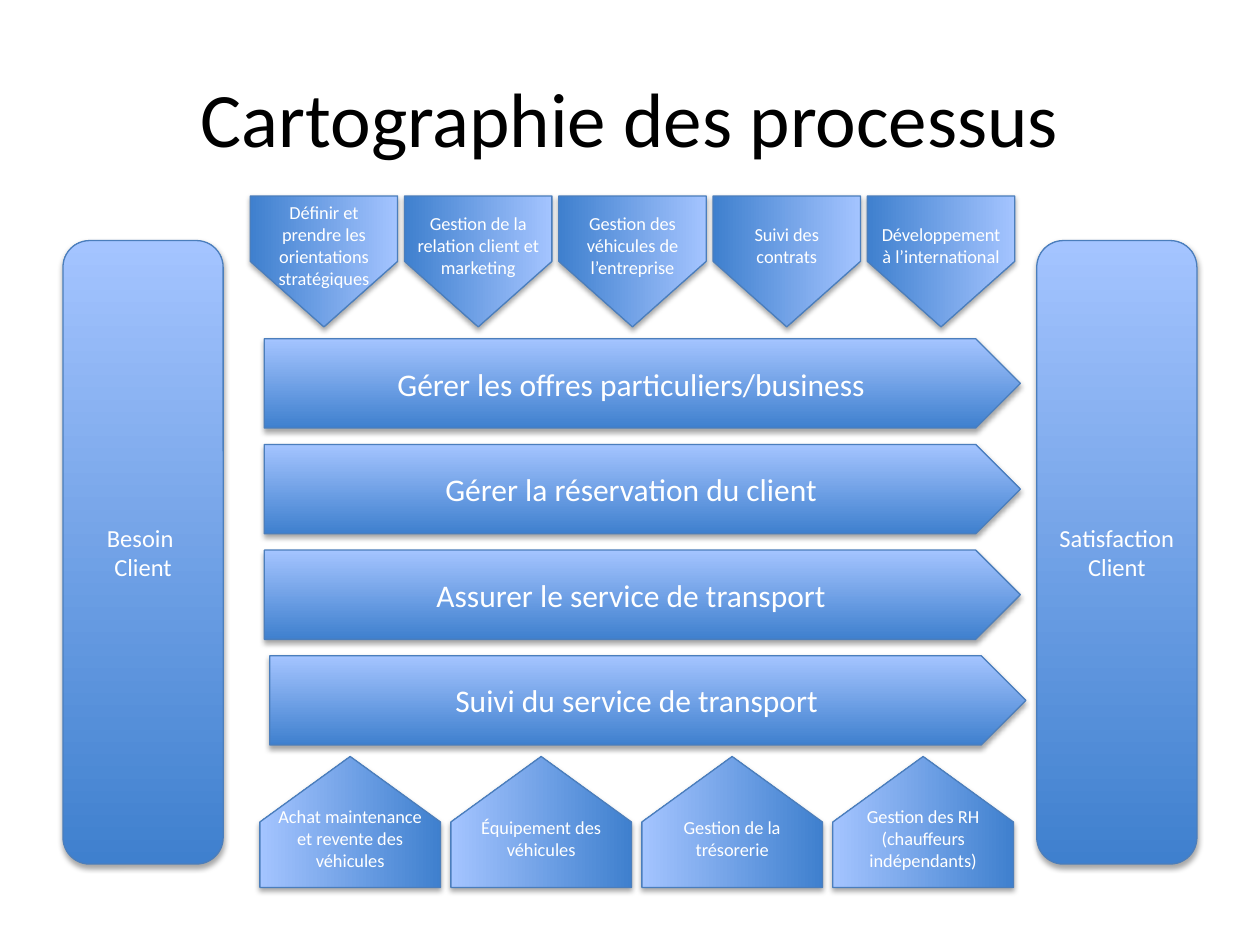
from lxml import etree
from pptx import Presentation
from pptx.dml.color import RGBColor
from pptx.enum.shapes import MSO_SHAPE
from pptx.enum.text import MSO_ANCHOR, PP_ALIGN
from pptx.oxml.ns import qn
from pptx.util import Cm, Pt

PENTAGON = MSO_SHAPE.PENTAGON
ROUNDED = MSO_SHAPE.ROUNDED_RECTANGLE
CENTER = PP_ALIGN.CENTER
MIDDLE = MSO_ANCHOR.MIDDLE

FONT = "Calibri"
BLACK, WHITE = "000000", "FFFFFF"
DARK_BLUE, LIGHT_BLUE, OUTLINE = "3F80CE", "A4C4FF", "4B7EBC"

TITLE = "Cartographie des processus"
# Text and left edge in cm
PILLARS = [("Besoin \nClient", 1.27), ("Satisfaction\nClient", 20.9)]
OPERATIONS = [
    ("Gérer les offres particuliers/business", 5.33),
    ("Gérer la réservation du client", 5.33),
    ("Assurer le service de transport", 5.33),
    ("Suivi du service de transport", 5.44),
]
STEERING = [
    "Définir et prendre les orientations stratégiques",
    "Gestion de la relation client et marketing",
    "Gestion des véhicules de l’entreprise",
    "Suivi des contrats",
    "Développement à l’international",
]
SUPPORT = [
    "Achat maintenance et revente des véhicules",
    "Équipement des véhicules",
    "Gestion de la trésorerie",
    "Gestion des RH (chauffeurs indépendants)",
]


def rgb(value):
    """Return the colour for a hex string."""
    return RGBColor.from_string(value)


def write(frame, text, size, color=WHITE):
    """Write centred text, one paragraph per line."""
    frame.word_wrap = True
    frame.vertical_anchor = MIDDLE
    frame.text = text
    for paragraph in frame.paragraphs:
        paragraph.alignment = CENTER
        font = paragraph.runs[0].font
        font.name, font.size = FONT, Pt(size)
        font.color.rgb = rgb(color)


def add_shadow(shape):
    """Give the shape a soft shadow below it."""
    shape.shadow.inherit = False
    effects = shape.element.spPr.find(qn("a:effectLst"))
    shadow = etree.SubElement(effects, qn("a:outerShdw"), blurRad=str(Pt(3.1)),
                              dist=str(Pt(1.8)), dir="5400000", rotWithShape="0")
    color = etree.SubElement(shadow, qn("a:srgbClr"), val=BLACK)
    etree.SubElement(color, qn("a:alpha"), val="35000")


def add_block(kind, text, left, top, width, height, size):
    """Add a blue gradient shape with text; lengths are in cm."""
    block = slide.shapes.add_shape(kind, Cm(left), Cm(top), Cm(width), Cm(height))
    block.fill.gradient()
    block.fill.gradient_angle = 90
    for stop, color in zip(block.fill.gradient_stops, (DARK_BLUE, LIGHT_BLUE)):
        stop.color.rgb = rgb(color)
    for stop, position in zip(block.fill.gradient_stops, (0, 1)):
        stop.position = position
    block.line.color.rgb = rgb(OUTLINE)
    block.line.width = Pt(0.75)
    add_shadow(block)
    write(block.text_frame, text, size)
    return block


def add_arrow_row(texts, first_center, pitch, middle, breadth, rotation, direction):
    """Add a row of vertical arrows whose text stays upright."""
    length = 2.64
    for index, text in enumerate(texts):
        center = first_center + index * pitch
        arrow = add_block(PENTAGON, text, center - length / 2,
                          middle - breadth / 2, length, breadth, 10.5)
        arrow.rotation = rotation
        arrow.text_frame._txBody.bodyPr.set("vert", direction)


prs = Presentation()
prs.slide_width, prs.slide_height = Cm(25.4), Cm(19.05)
slide = prs.slides.add_slide(prs.slide_layouts[5])

title = slide.shapes.title
title.left, title.top, title.width, title.height = Cm(1.27), Cm(0.76), Cm(22.86), Cm(3.18)
write(title.text_frame, TITLE, 44, BLACK)

for text, left in PILLARS:
    add_block(ROUNDED, text, left, 4.85, 3.23, 12.57, 14)
for row, (text, left) in enumerate(OPERATIONS):
    add_block(PENTAGON, text, left, 6.83 + row * 2.13, 15.24, 1.8, 18)
add_arrow_row(STEERING, 6.53, 3.11, 5.27, 2.97, 90, "vert270")
add_arrow_row(SUPPORT, 7.06, 3.85, 16.57, 3.64, 270, "vert")

prs.save("out.pptx")
